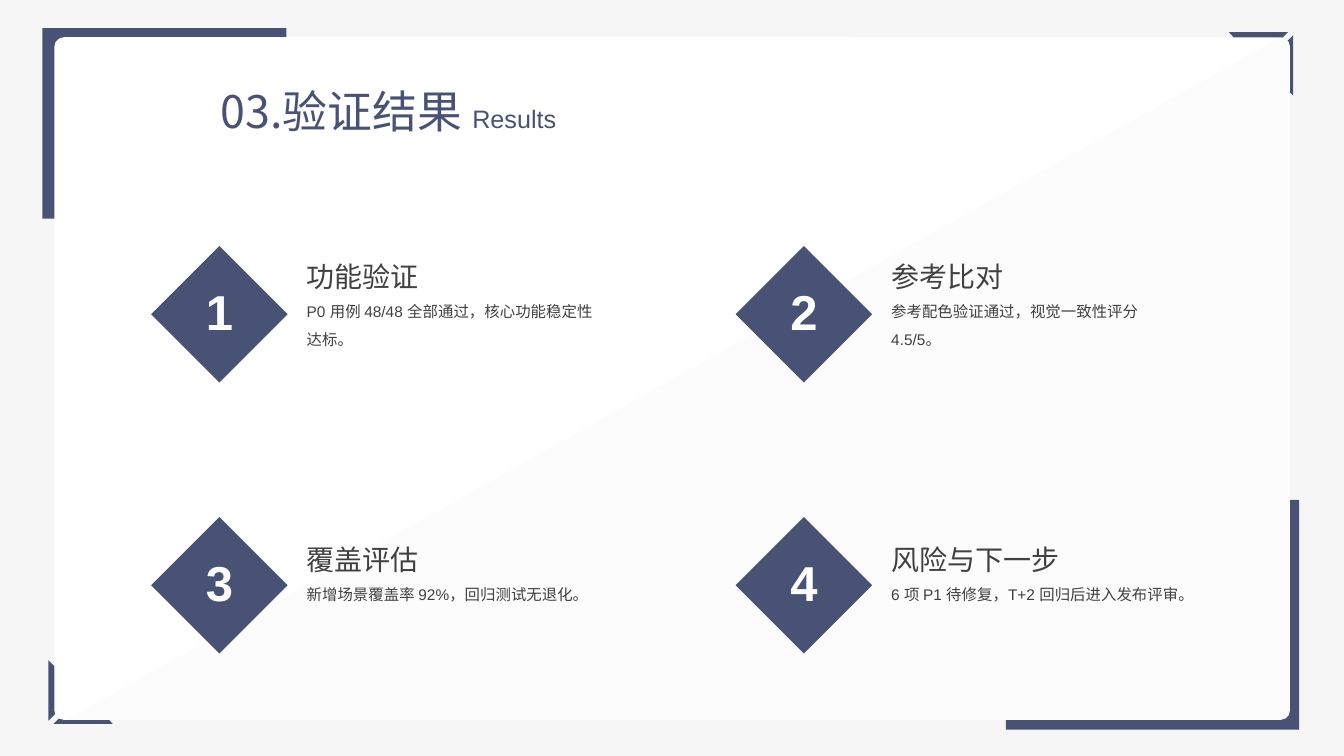
import math

import pptx
import pptx.dml.color
import pptx.enum.shapes
import pptx.enum.text
import pptx.util
from lxml import etree
from pptx.oxml.ns import qn

Cm = pptx.util.Cm
Pt = pptx.util.Pt
SHAPES = pptx.enum.shapes.MSO_SHAPE
ALIGN = pptx.enum.text.PP_ALIGN
ANCHOR = pptx.enum.text.MSO_ANCHOR
FIT = pptx.enum.text.MSO_AUTO_SIZE

COLORS = {
    "background": "F6F6F6",
    "accent": "485275",
    "panel": "FFFFFF",
    "wash": "F2F2F2",
    "text": "404040",
    "number": "FFFFFF",
}
LATIN = "Arial"
CHINESE = "Noto Sans CJK SC"
PAGE_WIDTH, PAGE_HEIGHT = 33.87, 19.05
PANEL = (1.37, 0.94, 31.14, 17.2)
PANEL_RADIUS = 0.24
CARD_COLUMNS = (3.81, 18.54)
CARD_ROWS = ((6.2, 5.56), (13.03, 12.7))
DIAMOND_SIZE = 3.44
CARDS = [
    ("功能验证", "P0 用例 48/48 全部通过，核心功能稳定性达标。"),
    ("参考比对", "参考配色验证通过，视觉一致性评分 4.5/5。"),
    ("覆盖评估", "新增场景覆盖率 92%，回归测试无退化。"),
    ("风险与下一步", "6 项 P1 待修复，T+2 回归后进入发布评审。"),
]


def rgb(name):
    return pptx.dml.color.RGBColor.from_string(COLORS[name])


def paint(shape, color):
    shape.shadow.inherit = False
    shape.fill.solid()
    shape.fill.fore_color.rgb = rgb(color)
    shape.line.fill.background()


def add_shape(page, kind, box, color):
    shape = page.shapes.add_shape(kind, *map(Cm, box))
    paint(shape, color)
    return shape


def add_outline(page, contours, color):
    contours = [[(Cm(x), Cm(y)) for x, y in contour] for contour in contours]
    builder = page.shapes.build_freeform(*contours[0][0])
    for index, contour in enumerate(contours):
        if index:
            builder.move_to(*contour[0])
        builder.add_line_segments(contour[1:], close=True)
    shape = builder.convert_to_shape()
    paint(shape, color)
    return shape


def format_span(span, size, color, latin=LATIN, bold=False):
    span.font.size = Pt(size)
    span.font.bold = bold
    span.font.name = latin
    span.font.color.rgb = rgb(color)
    east_asian = etree.Element(qn("a:ea"), typeface=CHINESE)
    span.font._element.find(qn("a:latin")).addnext(east_asian)


def add_text_box(page, box, wrap):
    text_box = page.shapes.add_textbox(*map(Cm, box))
    text_box.text_frame.word_wrap = wrap
    text_box.text_frame.auto_size = FIT.SHAPE_TO_FIT_TEXT
    return text_box.text_frame


def draw_corners(page):
    for box in ((1.07, 0.71, 6.15, 4.8), (25.35, 12.6, 7.39, 5.79)):
        add_shape(page, SHAPES.RECTANGLE, box, "accent")
    bottom_left = [
        [(1.6, 17.02), (1.6, 17.78), (1.22, 18.16), (1.22, 16.64)],
        [(2.84, 18.24), (1.35, 18.24), (1.73, 17.86), (2.49, 17.86)],
    ]
    top_right = [[(33.81 - x, PAGE_HEIGHT - y) for x, y in contour]
                 for contour in bottom_left]
    for contours in (bottom_left, top_right):
        add_outline(page, contours, "accent")


def draw_panel(page, box):
    left, top, width, height = box
    right, bottom = left + width, top + height
    panel = add_shape(page, SHAPES.ROUNDED_RECTANGLE, box, "panel")
    panel.adjustments[0] = PANEL_RADIUS / height

    def arc(center_y, start):
        angles = [math.radians(start + step * 15) for step in range(7)]
        return [(right - PANEL_RADIUS + PANEL_RADIUS * math.cos(angle),
                 center_y + PANEL_RADIUS * math.sin(angle)) for angle in angles]

    contour = arc(top + PANEL_RADIUS, -90) + arc(bottom - PANEL_RADIUS, 0)
    contour.append((left + 0.3, bottom))
    wash = add_outline(page, [contour], "wash")
    color = wash._element.spPr.find(qn("a:solidFill"))[0]
    etree.SubElement(color, qn("a:alpha"), val="16000")


def draw_title(page, box):
    paragraph = add_text_box(page, box, False).paragraphs[0]
    paragraph.alignment = ALIGN.CENTER
    for text, size, latin in (("03.验证结果 ", 32, CHINESE), ("Results", 18, LATIN)):
        span = paragraph.add_run()
        span.text = text
        format_span(span, size, "accent", latin)


def draw_card(page, left, diamond_top, text_top, number, heading, detail):
    diamond_box = (left, diamond_top, DIAMOND_SIZE, DIAMOND_SIZE)
    diamond = add_shape(page, SHAPES.DIAMOND, diamond_box, "accent")
    frame = diamond.text_frame
    frame.margin_left = frame.margin_right = frame.margin_top = frame.margin_bottom = 0
    frame.vertical_anchor = ANCHOR.MIDDLE
    frame.text = str(number)
    paragraph = frame.paragraphs[0]
    paragraph.alignment = ALIGN.CENTER
    paragraph.line_spacing = 0.9
    format_span(paragraph.runs[0], 35, "number", bold=True)

    frame = add_text_box(page, (left + 3.67, text_top, 7.85, 4.09), True)
    frame.text = f"{heading}\n{detail}"
    for paragraph, size, spacing in zip(frame.paragraphs, (20, 11), (2.0, 1.5)):
        paragraph.line_spacing = spacing
        format_span(paragraph.runs[0], size, "text")


def draw_results(deck):
    page = deck.slides.add_slide(deck.slide_layouts[6])
    page.background.fill.solid()
    page.background.fill.fore_color.rgb = rgb("background")
    draw_corners(page)
    draw_panel(page, PANEL)
    draw_title(page, (2.26, 1.98, 15.06, 1.63))
    for index, (heading, detail) in enumerate(CARDS):
        row, column = divmod(index, len(CARD_COLUMNS))
        draw_card(page, CARD_COLUMNS[column], *CARD_ROWS[row],
                  index + 1, heading, detail)


def main():
    deck = pptx.Presentation()
    deck.slide_width = Cm(PAGE_WIDTH)
    deck.slide_height = Cm(PAGE_HEIGHT)
    draw_results(deck)
    deck.save("out.pptx")


if __name__ == "__main__":
    main()
